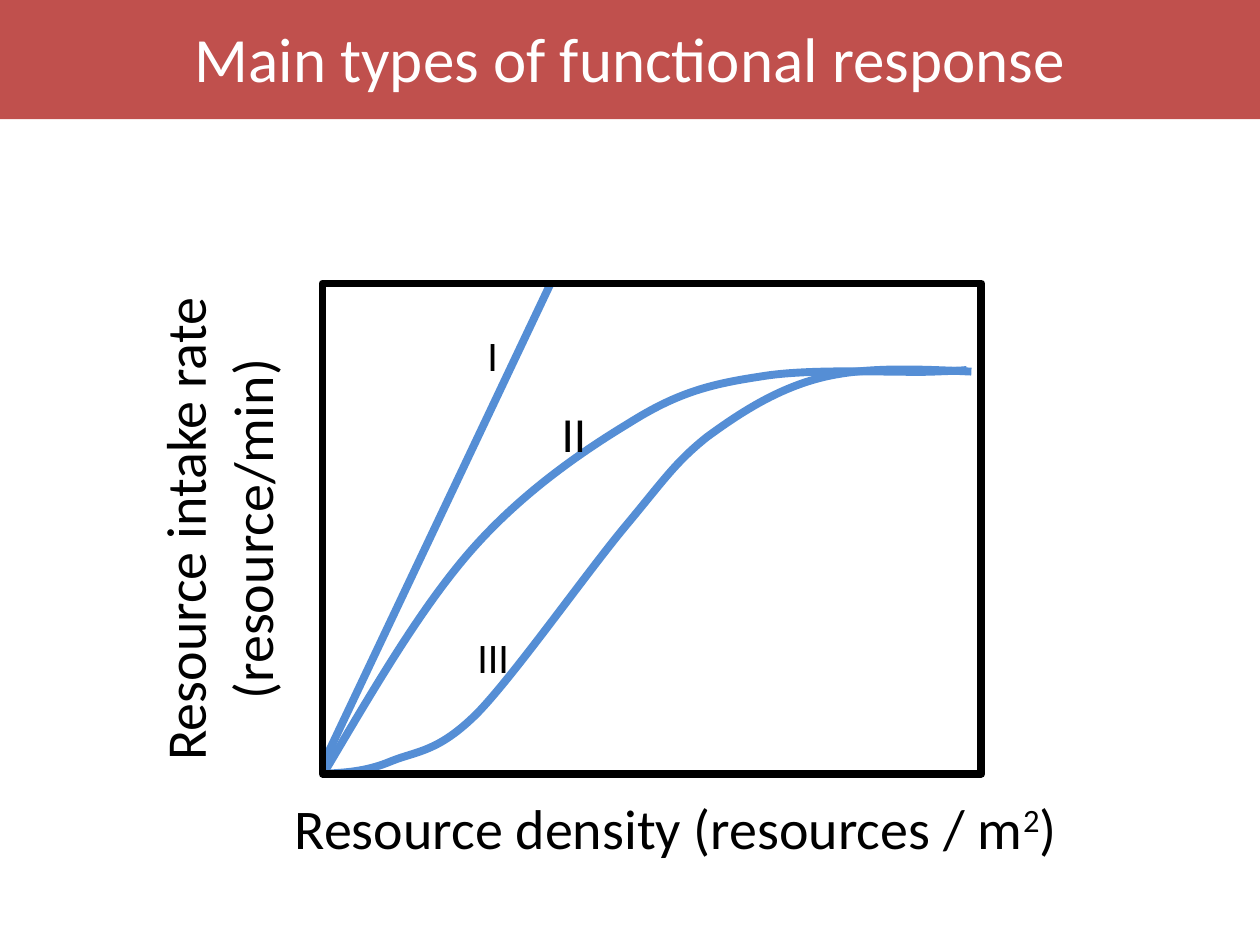
from collections import namedtuple
from dataclasses import dataclass

from pptx import Presentation
from pptx import util as u
from pptx.dml.color import RGBColor
from pptx.enum import shapes, text
from pptx.oxml.ns import qn
from lxml import etree

Box = namedtuple("Box", "left top width height")
COLUMNS, ROWS = 100, 75
CELL = u.Inches(0.1)


@dataclass(frozen=True)
class Theme:
    font: str = "Calibri"
    ink: str = "000000"
    paper: str = "FFFFFF"
    banner: str = "C0504D"
    curve: str = "558ED5"
    title: int = 36
    axis: int = 32
    large_label: int = 28
    label: int = 24
    stroke: float = 4.5


THEME = Theme()

TYPE_I = [(0, 38.2), (18.1, 0)]
TYPE_II = [
    (0.2, 38.7),
    (4, 32.3), (7.7, 25.9), (11.7, 21.3),
    (15.7, 16.7), (20.5, 13.4), (24.3, 11.1),
    (28.1, 8.7), (30.7, 8), (34.7, 7.4),
    (38.7, 6.7), (45.6, 7.1), (48.4, 7),
    (51.1, 6.9), (51.2, 6.9), (51.2, 6.8),
]
TYPE_III = [
    (0.5, 38.9),
    (2.1, 38.8), (3.6, 38.7), (5.5, 37.9),
    (7.5, 37.1), (9.2, 37.2), (12.3, 34.1),
    (15.3, 31), (21, 22.9), (24.1, 19.2),
    (27.1, 15.6), (28, 14.2), (30.5, 12.2),
    (33.1, 10.3), (36, 8.4), (39.5, 7.5),
    (43, 6.6), (47.2, 6.8), (51.5, 7),
]


def cells(*values):
    return [round(value * CELL) for value in values]


def color(value):
    return RGBColor.from_string(value)


def set_line(shape, ink):
    shape.line.color.rgb = color(ink)
    shape.line.width = u.Pt(THEME.stroke)


def add_rectangle(page, box, fill=None, ink=None):
    shape = page.shapes.add_shape(shapes.MSO_SHAPE.RECTANGLE, *cells(*box))
    shape.shadow.inherit = False
    if fill:
        shape.fill.solid()
        shape.fill.fore_color.rgb = color(fill)
    else:
        shape.fill.background()
    if ink:
        set_line(shape, ink)
    else:
        shape.line.fill.background()
    return shape


def add_span(para, words, size, ink=THEME.ink, superscript=False):
    span = para.add_run()
    span.text = words
    span.font.name = THEME.font
    span.font.size = u.Pt(size)
    span.font.color.rgb = color(ink)
    if superscript:
        span.font._element.set("baseline", "30000")


def write(shape, words, size, ink=THEME.ink, align=text.PP_ALIGN.LEFT,
          anchor=text.MSO_ANCHOR.TOP, wrap=True):
    frame = shape.text_frame
    frame.word_wrap = wrap
    frame.vertical_anchor = anchor
    para = frame.paragraphs[0]
    para.alignment = align
    add_span(para, words, size, ink)
    return para


def add_curve(page, box, knots):
    points = [cells(box.left + x, box.top + y) for x, y in knots]
    builder = page.shapes.build_freeform(*points[0], scale=1.0)
    builder.add_line_segments(points[1:], close=False)
    curve = builder.convert_to_shape()
    segments = list(curve._element.iter(qn("a:lnTo")))
    outline = segments[0].getparent()
    for first in range(0, len(segments), 3):
        bend = etree.SubElement(outline, qn("a:cubicBezTo"))
        for segment in segments[first:first + 3]:
            bend.append(segment[0])
            outline.remove(segment)
    curve.shadow.inherit = False
    curve.fill.background()
    set_line(curve, THEME.curve)


def add_straight(page, box, ends):
    (x1, y1), (x2, y2) = ends
    line = page.shapes.add_connector(
        shapes.MSO_CONNECTOR.STRAIGHT,
        *cells(box.left + x1, box.top + y1, box.left + x2, box.top + y2),
    )
    set_line(line, THEME.curve)
    etree.SubElement(line._element.spPr, qn("a:effectLst"))


def add_banner(page, box):
    write(add_rectangle(page, box, fill=THEME.banner),
          "Main types of functional response", THEME.title, ink=THEME.paper,
          align=text.PP_ALIGN.CENTER, anchor=text.MSO_ANCHOR.MIDDLE)


def add_axis_titles(page, box):
    density = Box(box.left - 3.2, box.top + box.height + 1.1, 63.2, 6.4)
    para = write(add_rectangle(page, density, fill=THEME.paper),
                 "Resource density (resources / m", THEME.axis, wrap=False)
    add_span(para, "2", THEME.axis, superscript=True)
    add_span(para, ")", THEME.axis)
    rate = Box(box.left - 27.7, box.top + 13.6, 38.8, 11.8)
    shape = add_rectangle(page, rate, fill=THEME.paper)
    shape.rotation = 270
    write(shape, "Resource intake rate (resource/min)", THEME.axis,
          align=text.PP_ALIGN.CENTER)


def add_curve_labels(page, box):
    outer = page.shapes.add_textbox(
        *cells(box.left + 11.3, box.top + 3.2, 8.4, 29.3))
    para = write(outer, "I", THEME.label)
    para._p.get_or_add_pPr().set("marL", str(u.Inches(0.08)))
    lower = outer.text_frame.add_paragraph()
    lower.space_before = u.Pt(143.5)
    add_span(lower, "III", THEME.label)
    middle = page.shapes.add_textbox(*cells(box.left + 18, box.top + 9, 50, 5.7))
    write(middle, "II", THEME.large_label)


def add_plot(page, box):
    add_straight(page, box, TYPE_I)
    for knots in (TYPE_II, TYPE_III):
        add_curve(page, box, knots)
    add_rectangle(page, box, ink=THEME.ink)
    add_curve_labels(page, box)


def main():
    deck = Presentation()
    deck.slide_width, deck.slide_height = cells(COLUMNS, ROWS)
    page = deck.slides.add_slide(deck.slide_layouts[6])
    plot = Box(25.6, 22.5, 52.3, 38.9)
    add_axis_titles(page, plot)
    add_banner(page, Box(0, -0.34, COLUMNS, 9.8))
    add_plot(page, plot)
    deck.save("out.pptx")


if __name__ == "__main__":
    main()
